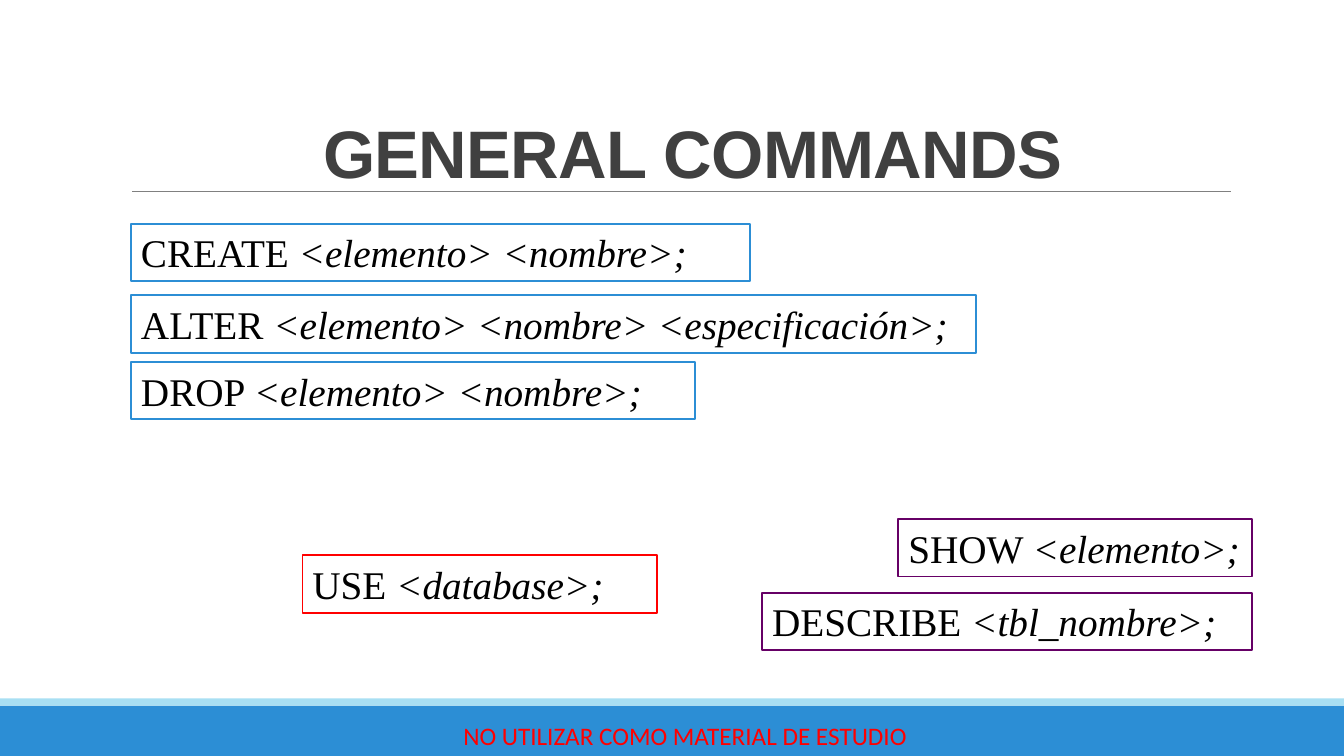
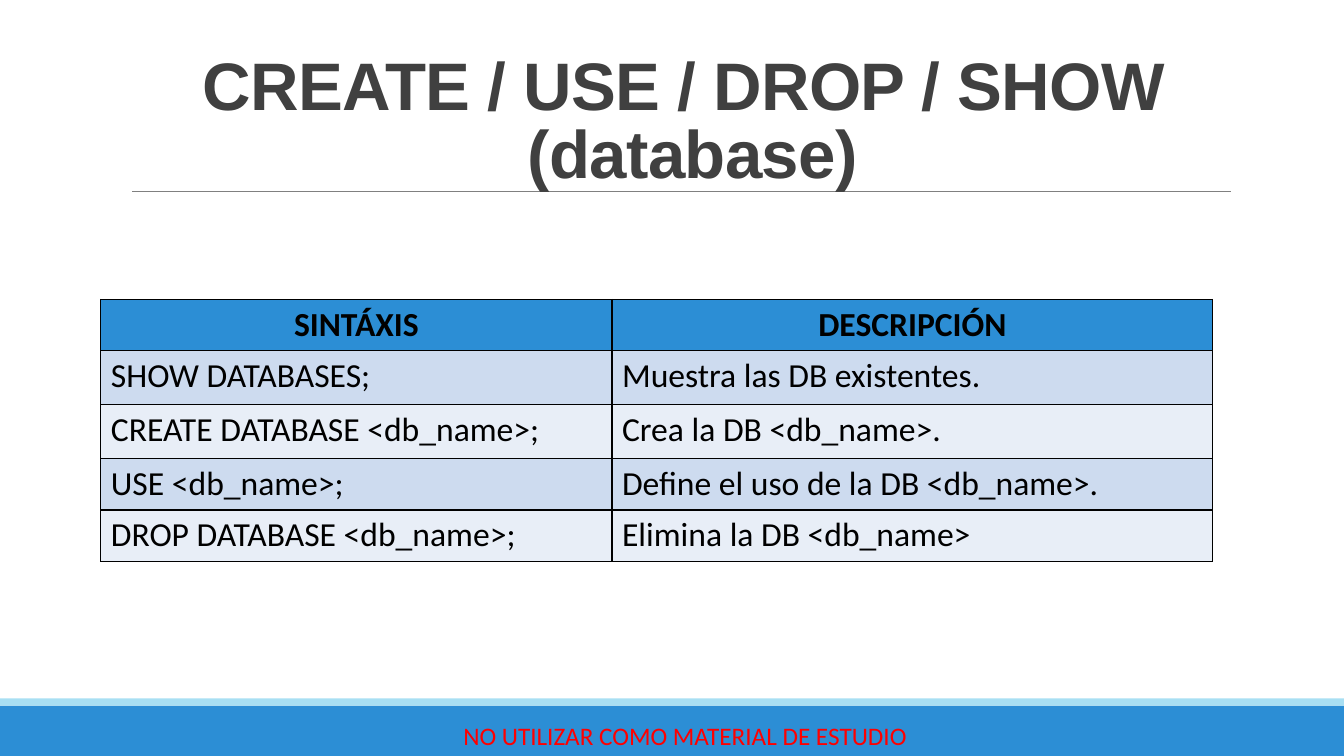
"""Build two slides on general SQL commands and database statements."""
from pptx import Presentation
from pptx import util as u
from pptx.dml.color import RGBColor
from pptx.enum import shapes, text
from pptx.oxml import parse_xml
from pptx.oxml.ns import nsdecls

PX = 9144
COLORS = {
    "band": "2C8ED5", "stripe": "A8DFF3", "rule": "808080", "title": "404040",
    "notice": "FF0000", "ink": "000000", "paper": "FFFFFF", "info": "660066",
    "odd": "CDDBEF", "even": "E8EEF7",
}


def box(*lengths):
    return [u.Emu(length * PX) for length in lengths]


def style(font, name, size, color, bold=False, italic=False):
    font.name, font.size = name, u.Pt(size)
    font.bold, font.italic = bold, italic
    font.color.rgb = RGBColor.from_string(COLORS[color])


deck = Presentation()
deck.slide_width, deck.slide_height = box(1333, 750)
layout = deck.slide_layouts[5]
heading = layout.placeholders[0]
heading.left, heading.top, heading.width, heading.height = box(137, 37, 1100, 159)
heading.text_frame.vertical_anchor = text.MSO_ANCHOR.BOTTOM
heading.text_frame.auto_size = text.MSO_AUTO_SIZE.NONE

commands = deck.slides.add_slide(layout)
databases = deck.slides.add_slide(layout)

shared = []
for color, top, height in (("band", 700, 50), ("stripe", 693, 7)):
    band = commands.shapes.add_shape(shapes.MSO_SHAPE.RECTANGLE, *box(0, top, 1333, height))
    band.shadow.inherit = False
    band.fill.solid()
    band.fill.fore_color.rgb = RGBColor.from_string(COLORS[color])
    band.line.fill.background()
    shared.append(band)

rule = commands.shapes.add_connector(shapes.MSO_CONNECTOR.STRAIGHT, *box(131, 190, 1221, 190))
rule.line.color.rgb = RGBColor.from_string(COLORS["rule"])
rule.line.width = u.Pt(0.5)
rule._element.spPr.append(parse_xml(f"<a:effectLst {nsdecls('a')}/>"))
shared.append(rule)

notice = commands.shapes.add_textbox(*box(416, 710, 527, 40))
notice.text_frame.word_wrap = True
notice.text_frame.vertical_anchor = text.MSO_ANCHOR.MIDDLE
notice.text_frame.text = "NO UTILIZAR COMO MATERIAL DE ESTUDIO"
notice_line = notice.text_frame.paragraphs[0]
notice_line.alignment = text.PP_ALIGN.CENTER
style(notice_line.runs[0].font, "Calibri", 18, "notice")
shared.append(notice)

for number, part in enumerate(shared, start=20):
    part._element.xpath(".//p:cNvPr")[0].set("id", str(number))
    layout.shapes._spTree.append(part._element)

titles = (
    (commands, "GENERAL COMMANDS"),
    (databases, "CREATE / USE / DROP / SHOW \n(database)"),
)
for slide, wording in titles:
    title = slide.shapes.title
    title.text_frame.text = wording
    for line in title.text_frame.paragraphs:
        line.alignment = text.PP_ALIGN.CENTER
        line.line_spacing = 0.85
        for run in line.runs:
            style(run.font, "Arial", 48, "title", bold=True)
            run.font._element.set("spc", "-50")

statements = (
    ("CREATE ", "<elemento> <nombre>;", "band", 130, 222, 614),
    ("ALTER ", "<elemento> <nombre> <especificación>;", "band", 130, 293, 838),
    ("DROP ", "<elemento> <nombre>;", "band", 130, 359, 559),
    ("USE ", "<database>;", "notice", 300, 551, 352),
    ("SHOW ", "<elemento>;", "info", 891, 515, 351),
    ("DESCRIBE ", "<tbl_nombre>;", "info", 756, 588, 486),
)
for keyword, arguments, outline, left, top, width in statements:
    statement = commands.shapes.add_textbox(*box(left, top, width, 57))
    statement.fill.solid()
    statement.fill.fore_color.rgb = RGBColor.from_string(COLORS["paper"])
    statement.line.color.rgb = RGBColor.from_string(COLORS[outline])
    statement.line.width = u.Pt(1.25)
    statement.text_frame.word_wrap = True
    for wording, italic in ((keyword, False), (arguments, True)):
        run = statement.text_frame.paragraphs[0].add_run()
        run.text = wording
        style(run.font, "Times New Roman", 28, "ink", italic=italic)

syntax = (
    ("SINTÁXIS", "DESCRIPCIÓN"),
    ("SHOW DATABASES;", "Muestra las DB existentes."),
    ("CREATE DATABASE <db_name>;", "Crea la DB <db_name>."),
    ("USE <db_name>;", "Define el uso de la DB <db_name>."),
    ("DROP DATABASE <db_name>;", "Elimina la DB <db_name>"),
)
grid = databases.shapes.add_table(len(syntax), 2, *box(100, 297, 1103, 260)).table
for column, width in zip(grid.columns, box(507, 596)):
    column.width = width
for row, height in zip(grid.rows, box(51, 53, 54, 51, 51)):
    row.height = height
for r, wordings in enumerate(syntax):
    header = r == 0
    fill = "band" if header else ("even", "odd")[r % 2]
    for c, wording in enumerate(wordings):
        cell = grid.cell(r, c)
        for side in ("lnL", "lnR", "lnT", "lnB"):
            cell._tc.get_or_add_tcPr().append(parse_xml(
                f'<a:{side} {nsdecls("a")} w="12700"><a:solidFill>'
                f'<a:srgbClr val="{COLORS["ink"]}"/></a:solidFill></a:{side}>'))
        cell.fill.solid()
        cell.fill.fore_color.rgb = RGBColor.from_string(COLORS[fill])
        cell.text_frame.text = wording
        entry = cell.text_frame.paragraphs[0]
        entry.alignment = text.PP_ALIGN.CENTER if header else text.PP_ALIGN.LEFT
        style(entry.runs[0].font, "Calibri", 24, "ink", bold=header)

deck.save("out.pptx")
